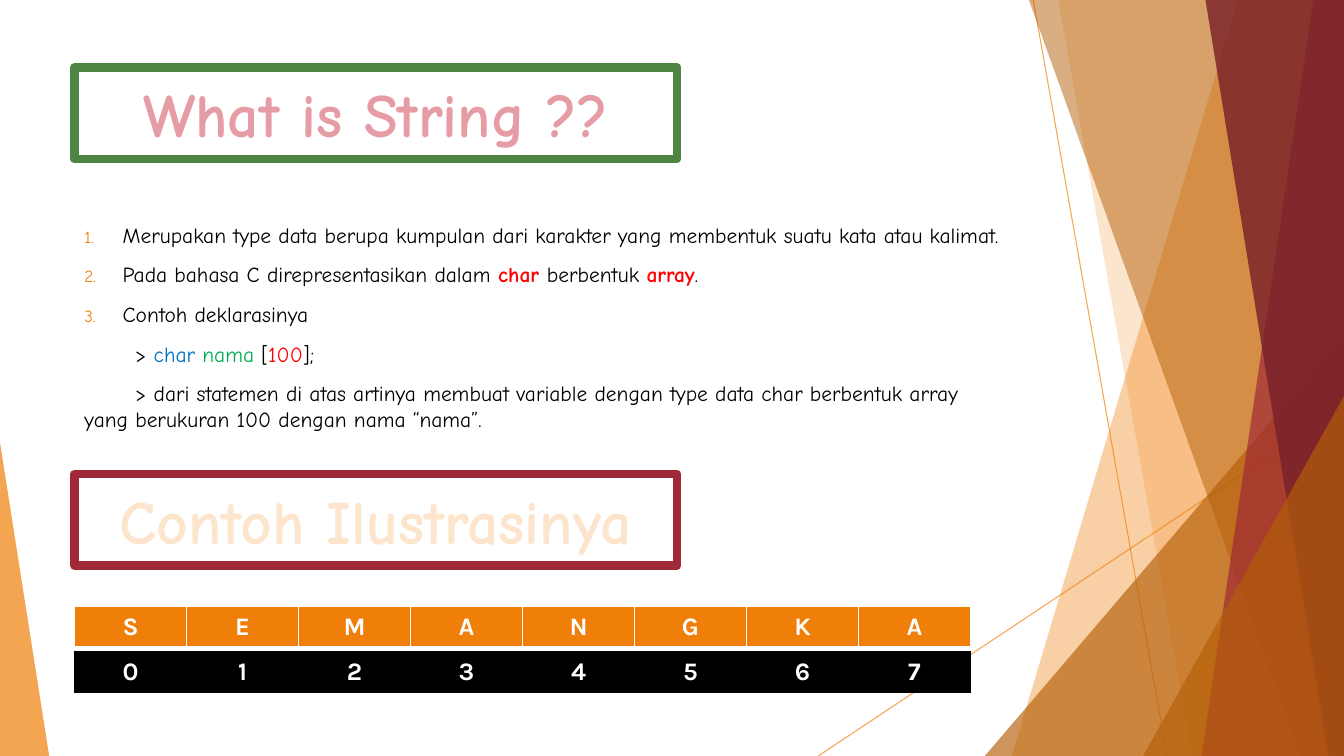
from collections import namedtuple

from lxml import etree
from pptx import Presentation
from pptx.dml.color import RGBColor
from pptx.enum.shapes import MSO_CONNECTOR, MSO_SHAPE
from pptx.enum.text import MSO_ANCHOR, PP_ALIGN
from pptx.oxml.ns import qn
from pptx.util import Cm, Pt

STRAIGHT = MSO_CONNECTOR.STRAIGHT
RECTANGLE, TRIANGLE = MSO_SHAPE.RECTANGLE, MSO_SHAPE.ISOSCELES_TRIANGLE
CENTER = PP_ALIGN.CENTER
TOP, MIDDLE = MSO_ANCHOR.TOP, MSO_ANCHOR.MIDDLE

WHITE = RGBColor(0xFF, 0xFF, 0xFF)
BLACK = RGBColor(0, 0, 0)
ORANGE = RGBColor(0xF0, 0x7F, 0x09)
BROWN = RGBColor(0xB4, 0x5F, 0x07)
CRIMSON = RGBColor(0x9F, 0x29, 0x36)
MAROON = RGBColor(0x77, 0x1F, 0x28)
GREEN = RGBColor(0x4E, 0x85, 0x42)
PINK = RGBColor(0xE6, 0x9C, 0xA4)
CREAM = RGBColor(0xFD, 0xE5, 0xCD)
RED = RGBColor(0xFF, 0, 0)
TYPE_BLUE = RGBColor(0, 0x70, 0xC0)
NAME_GREEN = RGBColor(0, 0xB0, 0x50)

HEADING = {"name": "Comic Neue", "size": Pt(44), "bold": True}
BODY = {"name": "Comic Neue", "size": Pt(15.3), "bold": False}
CELL = {"name": "Karla", "size": Pt(18), "bold": True}

Box = namedtuple("Box", "left top width height")
SLIDE = Box(0, 0, 33.87, 19.05)

# Each item: is it numbered, then its runs as (text, colour, bold)
NOTES = [
    (True, [("Merupakan type data berupa kumpulan dari karakter yang "
             "membentuk suatu kata atau kalimat.", BLACK, False)]),
    (True, [("Pada bahasa C direpresentasikan dalam ", BLACK, False),
            ("char ", RED, True), ("berbentuk ", BLACK, False),
            ("array", RED, True), (".", BLACK, False)]),
    (True, [("Contoh deklarasinya", BLACK, False)]),
    (False, [("> ", BLACK, False), ("char ", TYPE_BLUE, False),
             ("nama", NAME_GREEN, False), (" [", BLACK, False),
             ("100", RED, False), ("];", BLACK, False)]),
    (False, [("> dari statemen di atas artinya membuat variable dengan type "
              "data char berbentuk array\vyang berukuran 100 dengan nama "
              "“nama”.", BLACK, False)]),
]


def cm_box(box):
    return [Cm(length) for length in box]


def add_xml(parent, tag, **attributes):
    return etree.SubElement(parent, qn(tag), attributes)


def set_format(target, values, color=None):
    for name, value in values.items():
        setattr(target, name, value)
    if color is not None:
        target.color.rgb = color


def set_alpha(fill_owner, percent):
    """Make the solid colour under an XML element see-through."""
    color = next(fill_owner.iter(qn("a:srgbClr")))
    add_xml(color, "a:alpha", val=str(percent * 1000))


def paint_facet(shape, color, percent):
    shape.shadow.inherit = False
    shape.fill.solid()
    shape.fill.fore_color.rgb = color
    set_alpha(shape.fill._xPr.find(qn("a:solidFill")), percent)
    shape.line.fill.background()


def add_ray(shapes, start, end):
    ray = shapes.add_connector(STRAIGHT, *cm_box(start + end))
    ray.line.width = Pt(0.75)
    ray.line.color.rgb = ORANGE
    set_alpha(ray.line._ln, 70)
    add_xml(ray._element.spPr, "a:effectLst")


def add_panel(shapes, box, top_left, bottom_left, color, percent):
    """Draw a slanted panel that reaches the right edge of the box."""
    right, bottom = box.left + box.width, box.top + box.height
    corners = [(right, box.top), (right, bottom), (bottom_left, bottom)]
    builder = shapes.build_freeform(Cm(top_left), Cm(box.top))
    builder.add_line_segments([(Cm(x), Cm(y)) for x, y in corners])
    paint_facet(builder.convert_to_shape(), color, percent)


def add_wedge(shapes, box, peak, color, percent):
    wedge = shapes.add_shape(TRIANGLE, *cm_box(box))
    wedge.adjustments[0] = peak
    paint_facet(wedge, color, percent)


def add_facets(shapes, box):
    right, bottom = box.left + box.width, box.top + box.height

    def corner_wedge(width, height):
        corner = Box(right - width, bottom - height, width, height)
        add_wedge(shapes, corner, 1, BROWN, 66)

    add_ray(shapes, (26.04, box.top), (29.41, bottom))
    add_ray(shapes, (right, 10.24), (20.62, bottom))
    add_panel(shapes, box, 31.2, 25.5, ORANGE, 36)
    add_panel(shapes, box, 26.67, 30.05, ORANGE, 20)
    corner_wedge(9.05, 10.59)
    add_panel(shapes, box, 25.93, 32.79, BROWN, 50)
    add_panel(shapes, box, 33.1, 30.28, CRIMSON, 70)
    add_panel(shapes, box, 30.38, 33.48, MAROON, 80)
    corner_wedge(5.06, 9.07)
    left_wedge = Box(box.left, bottom - 7.9, 1.24, 7.9)
    add_wedge(shapes, left_wedge, 0, ORANGE, 70)


def add_heading(shapes, box, text, text_color, frame_color):
    heading = shapes.add_shape(RECTANGLE, *cm_box(box))
    heading.shadow.inherit = False
    heading.fill.solid()
    heading.fill.fore_color.rgb = WHITE
    set_format(heading.line, {"width": Pt(6)}, frame_color)
    heading.text_frame.vertical_anchor = MIDDLE
    paragraph = heading.text_frame.paragraphs[0]
    paragraph.alignment = CENTER
    run = paragraph.add_run()
    run.text = text
    set_format(run.font, HEADING, text_color)


def number_paragraph(properties):
    bullet_color = add_xml(properties, "a:buClr")
    add_xml(bullet_color, "a:srgbClr", val=str(ORANGE))
    add_xml(properties, "a:buSzPct", val="80000")
    add_xml(properties, "a:buFont", typeface="+mj-lt")
    add_xml(properties, "a:buAutoNum", type="arabicPeriod")


def add_notes(shapes, box, notes):
    frame = shapes.add_textbox(*cm_box(box)).text_frame
    set_format(frame, {"word_wrap": True, "vertical_anchor": TOP})
    for index, (numbered, runs) in enumerate(notes):
        paragraph = frame.add_paragraph() if index else frame.paragraphs[0]
        paragraph.space_before = Pt(10)
        properties = paragraph._p.get_or_add_pPr()
        margin, indent = (0.96, -0.96) if numbered else (0, 1.27)
        properties.set("marL", str(Cm(margin)))
        properties.set("indent", str(Cm(indent)))
        if numbered:
            number_paragraph(properties)
        for text, color, bold in runs:
            for line, part in enumerate(text.split("\v")):
                if line:
                    paragraph.add_line_break()
                run = paragraph.add_run()
                run.text = part
                set_format(run.font, {**BODY, "bold": bold}, color)


def set_borders(cell, color, widths):
    properties = cell._tc.get_or_add_tcPr()
    for index, (side, width) in enumerate(widths.items()):
        border = etree.Element(qn(f"a:ln{side}"), {"w": str(Pt(width))})
        fill = add_xml(border, "a:solidFill")
        add_xml(fill, "a:srgbClr", val=str(color))
        properties.insert(index, border)


def add_letter_row(shapes, box, values, fill_color, border_color, bottom_width):
    table = shapes.add_table(1, len(values), *cm_box(box)).table
    table.horz_banding = False
    widths = {"L": 1, "R": 1, "T": 1, "B": bottom_width}
    for cell, value in zip(table.iter_cells(), values):
        cell.fill.solid()
        cell.fill.fore_color.rgb = fill_color
        cell.vertical_anchor = MIDDLE
        set_borders(cell, border_color, widths)
        paragraph = cell.text_frame.paragraphs[0]
        paragraph.alignment = CENTER
        run = paragraph.add_run()
        run.text = str(value)
        set_format(run.font, CELL, WHITE)


def add_string_slide(presentation):
    shapes = presentation.slides.add_slide(presentation.slide_layouts[6]).shapes
    left, word = 1.88, "SEMANGKA"
    add_facets(shapes, SLIDE)
    add_heading(shapes, Box(left, 1.7, 15.19, 2.31), "What is String ??", PINK, GREEN)
    add_notes(shapes, Box(left, 5.46, 23.88, 5.44), NOTES)
    add_heading(shapes, Box(left, 11.94, 15.19, 2.31), "Contoh Ilustrasinya", CREAM, CRIMSON)
    add_letter_row(shapes, Box(left, 15.29, 22.58, 1.03), word, ORANGE, WHITE, 3)
    add_letter_row(shapes, Box(left, 16.41, 22.58, 1.03), range(len(word)), BLACK, BLACK, 1)


def main():
    presentation = Presentation()
    presentation.slide_width = Cm(SLIDE.width)
    presentation.slide_height = Cm(SLIDE.height)
    add_string_slide(presentation)
    presentation.save("out.pptx")


if __name__ == "__main__":
    main()
